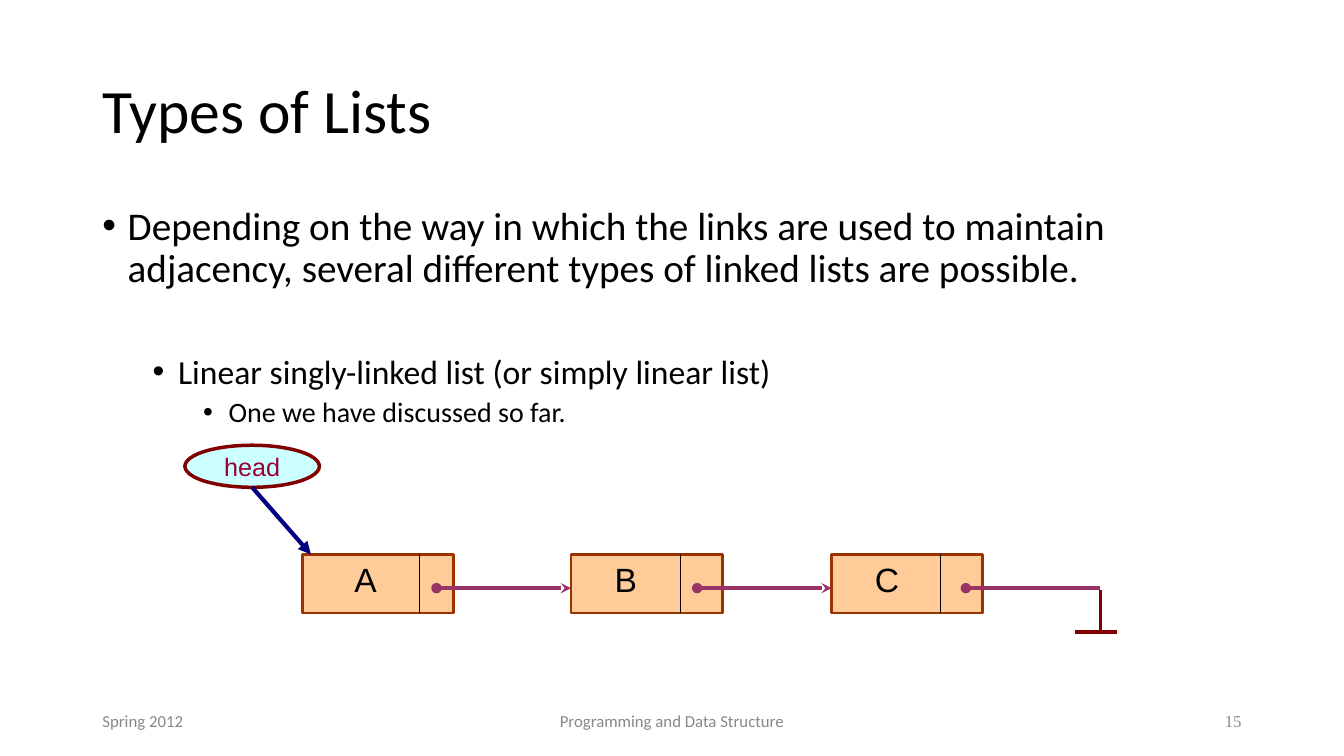
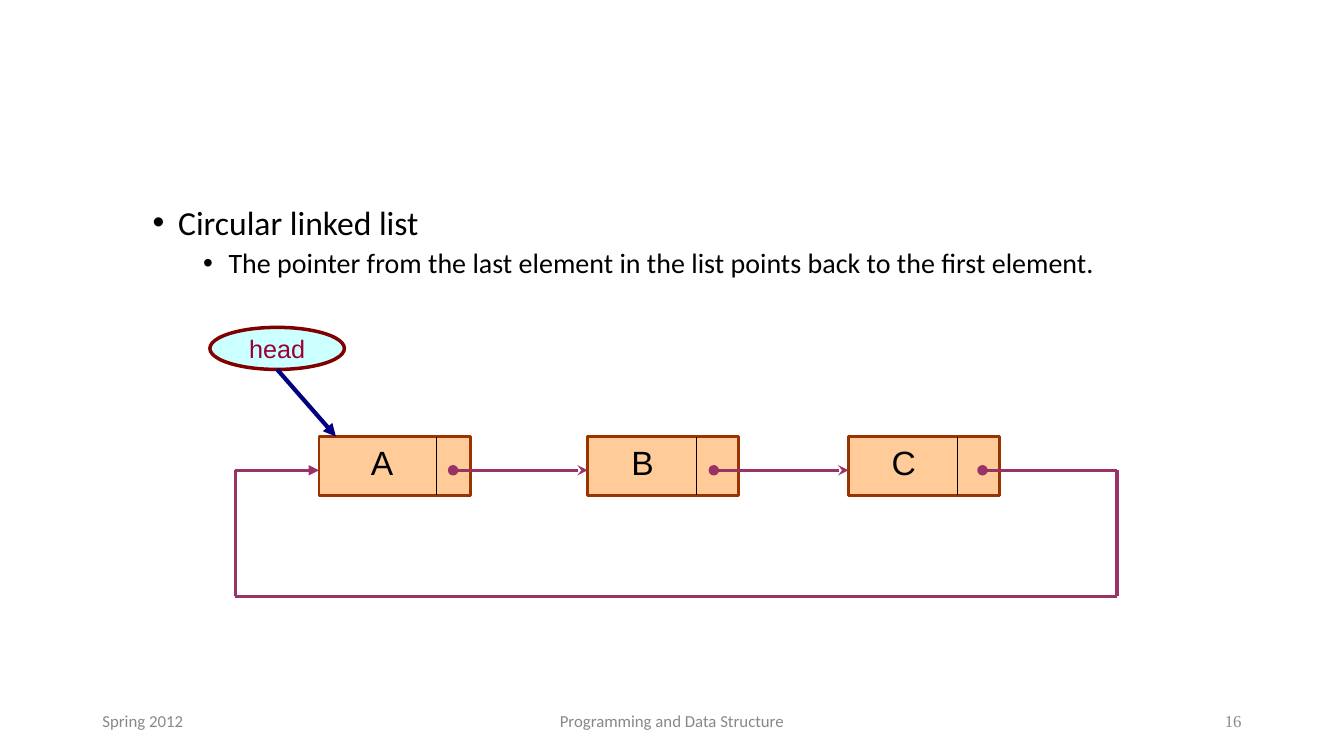
from dataclasses import dataclass

from lxml import etree
from pptx import Presentation
from pptx import util as u
from pptx.dml.color import RGBColor
from pptx.enum import shapes, text
from pptx.oxml.ns import qn

Cm, Pt = u.Cm, u.Pt
LEFT, CENTER, RIGHT = text.PP_ALIGN.LEFT, text.PP_ALIGN.CENTER, text.PP_ALIGN.RIGHT
TOP, MIDDLE = text.MSO_ANCHOR.TOP, text.MSO_ANCHOR.MIDDLE


@dataclass(frozen=True)
class Theme:
    ink: str = "000000"
    footer: str = "888888"
    page_number: str = "898989"
    node_fill: str = "FFCC99"
    node_line: str = "993300"
    pointer: str = "993366"
    head_fill: str = "CCFFFF"
    head_line: str = "800000"
    head_text: str = "990033"
    head_arrow: str = "000080"
    body_font: str = "Calibri"
    diagram_font: str = "Arial"
    number_font: str = "Times New Roman"
    title_size: int = 44
    level_sizes: tuple = (28, 24, 20)
    label_size: int = 24
    head_size: int = 18
    footer_size: int = 12
    divider_width: float = 0.75
    node_width: float = 2
    line_width: float = 2.5
    arrow_width: float = 3


# All measures below are in centimetres.
MARGIN, CONTENT_WIDTH = 2.33, 29.21
NODE_WIDTH, NODE_HEIGHT = 3.81, 1.48
NODE_OFFSETS = (0, 6.77, 13.34)
CHAIN_WIDTH = 20.11
CELL_PITCH = 6.56
LABEL_OFFSET, DIVIDER_OFFSET = 1.06, 2.96
POINTER_LENGTH, POINTER_DROP = 3.39, 0.85
HEAD_WIDTH, HEAD_HEIGHT, HEAD_RISE = 3.39, 1.06, 2.75
HEAD_ARROW_RUN = 1.48


def write(paragraph, content, *, size, font, color, align=LEFT, spacing=1.0, before=0):
    paragraph.alignment = align
    paragraph.line_spacing = spacing
    paragraph.space_before = Pt(before)
    run = paragraph.add_run()
    run.text = content
    run.font.size = Pt(size)
    run.font.name = font
    run.font.color.rgb = RGBColor.from_string(color)


def add_bullet(paragraph, level):
    properties = paragraph._p.get_or_add_pPr()
    properties.set("marL", str(Cm(0.64 + 1.27 * level)))
    properties.set("indent", str(-Cm(0.64)))
    etree.SubElement(properties, qn("a:buFont")).set("typeface", "Arial")
    etree.SubElement(properties, qn("a:buChar")).set("char", "•")


class Deck:
    def __init__(self, theme):
        self.theme = theme
        self.presentation = Presentation()
        self.presentation.slide_width = Cm(33.87)
        self.presentation.slide_height = Cm(19.05)
        self.slide = None

    def new_slide(self, number):
        self.slide = self.presentation.slides.add_slide(self.presentation.slide_layouts[6])
        theme = self.theme
        footers = (
            (MARGIN, 7.62, "Spring 2012", LEFT, theme.body_font, theme.footer),
            (11.22, 11.43, "Programming and Data Structure", CENTER, theme.body_font, theme.footer),
            (23.92, 7.62, str(number), RIGHT, theme.number_font, theme.page_number),
        )
        for left, width, content, align, font, color in footers:
            frame = self.text_frame(left, 17.66, width, 1.01, MIDDLE)
            write(frame.paragraphs[0], content, size=theme.footer_size, font=font,
                  color=color, align=align)

    def text_frame(self, left, top, width, height, anchor=TOP):
        box = self.slide.shapes.add_textbox(Cm(left), Cm(top), Cm(width), Cm(height))
        frame = box.text_frame
        frame.word_wrap = True
        frame.vertical_anchor = anchor
        return frame

    def title(self, content):
        frame = self.text_frame(MARGIN, 1.01, CONTENT_WIDTH, 3.68, MIDDLE)
        write(frame.paragraphs[0], content, size=self.theme.title_size,
              font=self.theme.body_font, color=self.theme.ink, spacing=0.9)

    def body(self, items):
        """Write bullets from (level, text, points before) tuples."""
        frame = self.text_frame(MARGIN, 5.07, CONTENT_WIDTH, 12.09)
        for index, (level, content, before) in enumerate(items):
            paragraph = frame.add_paragraph() if index else frame.paragraphs[0]
            write(paragraph, content, size=self.theme.level_sizes[level],
                  font=self.theme.body_font, color=self.theme.ink,
                  spacing=0.9, before=before)
            add_bullet(paragraph, level)

    def shape(self, kind, left, top, width, height, *, fill, line, line_width):
        shape = self.slide.shapes.add_shape(kind, Cm(left), Cm(top), Cm(width), Cm(height))
        shape.shadow.inherit = False
        shape.fill.solid()
        shape.fill.fore_color.rgb = RGBColor.from_string(fill)
        shape.line.color.rgb = RGBColor.from_string(line)
        shape.line.width = Pt(line_width)
        return shape

    def line(self, start, end, *, color, width, head=None, tail=None):
        connector = self.slide.shapes.add_connector(
            shapes.MSO_CONNECTOR.STRAIGHT, *(Cm(value) for value in (*start, *end)))
        connector.line.color.rgb = RGBColor.from_string(color)
        connector.line.width = Pt(width)
        outline = connector.line._get_or_add_ln()
        for tag, kind in (("a:headEnd", head), ("a:tailEnd", tail)):
            if kind:
                etree.SubElement(outline, qn(tag)).set("type", kind)
        etree.SubElement(connector._element.spPr, qn("a:effectLst"))

    def polyline(self, points, *, color, width, tail=None):
        last = len(points) - 2
        for index, (start, end) in enumerate(zip(points, points[1:])):
            self.line(start, end, color=color, width=width,
                      tail=tail if index == last else None)

    def head(self, left, list_top):
        theme = self.theme
        top = list_top - HEAD_RISE
        ellipse = self.shape(shapes.MSO_SHAPE.OVAL, left, top, HEAD_WIDTH, HEAD_HEIGHT,
                             fill=theme.head_fill, line=theme.head_line,
                             line_width=theme.line_width)
        ellipse.text_frame.vertical_anchor = MIDDLE
        write(ellipse.text_frame.paragraphs[0], "head", size=theme.head_size,
              font=theme.diagram_font, color=theme.head_text, align=CENTER)
        middle = left + HEAD_WIDTH / 2
        self.line((middle, top + HEAD_HEIGHT), (middle + HEAD_ARROW_RUN, list_top),
                  color=theme.head_arrow, width=theme.arrow_width, tail="triangle")

    def linked_list(self, left, top, labels):
        """Draw the nodes and pointers; return the end of the last pointer."""
        theme = self.theme
        for offset in NODE_OFFSETS:
            self.shape(shapes.MSO_SHAPE.RECTANGLE, left + offset, top, NODE_WIDTH, NODE_HEIGHT,
                       fill=theme.node_fill, line=theme.node_line,
                       line_width=theme.node_width)
        pointer_y = top + POINTER_DROP
        for target in (*NODE_OFFSETS[1:], CHAIN_WIDTH):
            end = left + target
            self.line((end - POINTER_LENGTH, pointer_y), (end, pointer_y),
                      color=theme.pointer, width=theme.line_width, head="oval",
                      tail=None if target == CHAIN_WIDTH else "stealth")
        for index, label in enumerate(labels):
            cell = left + index * CELL_PITCH
            divider = cell + DIVIDER_OFFSET
            self.line((divider, top), (divider, top + NODE_HEIGHT),
                      color=theme.ink, width=theme.divider_width)
            frame = self.text_frame(cell + LABEL_OFFSET, top, 1.69, 1.27)
            write(frame.paragraphs[0], label, size=theme.label_size,
                  font=theme.diagram_font, color=theme.ink)
        return left + CHAIN_WIDTH, pointer_y

    def ground(self, x, y):
        style = dict(color=self.theme.head_line, width=self.theme.line_width)
        bottom = y + 1.06
        self.line((x, y), (x, bottom), **style)
        self.line((x - 0.64, bottom), (x + 0.43, bottom), **style)


def linear_list_slide(deck):
    deck.new_slide(15)
    deck.title("Types of Lists")
    deck.body([
        (0, "Depending on the way in which the links are used to maintain adjacency, "
            "several different types of linked lists are possible.", 0),
        (1, "Linear singly-linked list (or simply linear list)", 46),
        (2, "One we have discussed so far.", 5),
    ])
    top = 13.97
    end_x, end_y = deck.linked_list(7.62, top, "ABC")
    deck.ground(end_x, end_y + 0.04)
    deck.head(4.66, top)


def circular_list_slide(deck):
    deck.new_slide(16)
    deck.body([
        (1, "Circular linked list", 0),
        (2, "The pointer from the last element in the list points back to the first element.", 5),
    ])
    left, top = 8.04, 11.0
    end_x, end_y = deck.linked_list(left, top, "ABC")
    loop_left, loop_bottom = 5.93, 15.03
    deck.polyline([(end_x, end_y), (end_x, loop_bottom), (loop_left, loop_bottom),
                   (loop_left, end_y), (left, end_y)],
                  color=deck.theme.pointer, width=deck.theme.line_width, tail="triangle")
    deck.head(5.29, top)


def main():
    deck = Deck(Theme())
    linear_list_slide(deck)
    circular_list_slide(deck)
    deck.presentation.save("out.pptx")


if __name__ == "__main__":
    main()
